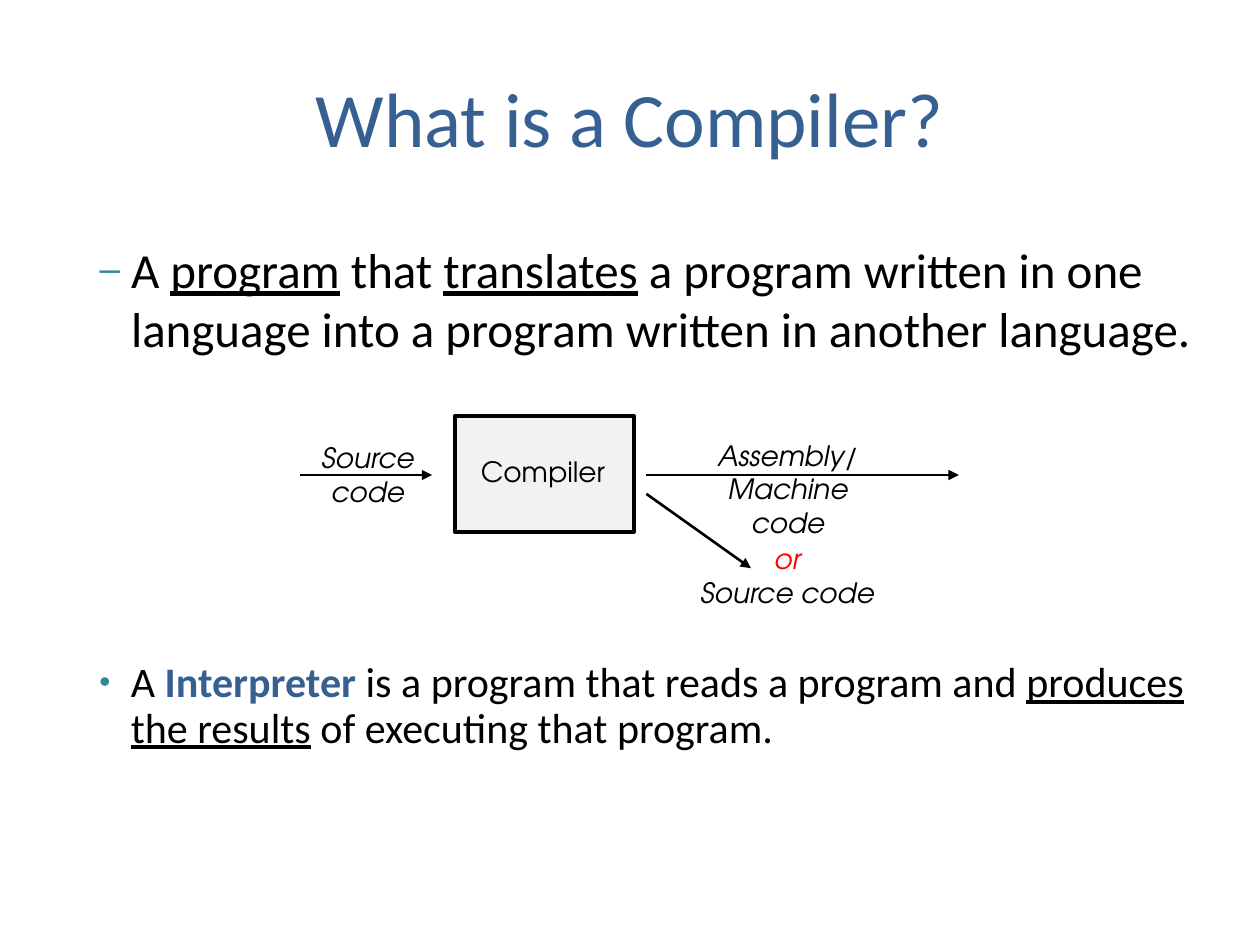
import pptx
import pptx.util
import pptx.dml.color
import pptx.enum.dml
import pptx.enum.shapes
import pptx.enum.text
import pptx.oxml
import pptx.oxml.ns
from dataclasses import dataclass


@dataclass(frozen=True)
class Theme:
    body_font: str = "Calibri"
    diagram_font: str = "TeX Gyre Adventor"
    ink: str = "000000"
    accent: str = "376092"
    bullet: str = "31859C"
    alert: str = "FF0000"
    box: str = "F2F2F2"
    title_size: int = 44
    lead_size: int = 28
    note_size: int = 24
    label_size: int = 16
    box_line: float = 2.25
    arrow_line: float = 1.5


T = Theme()
EMU_PER_PX = 9144
SLIDE = (1000, 750)

TITLE = ("What is a Compiler?", (50, 30, 900, 125))
LEAD = [
    ("A ", {}),
    ("program", {"underline": True}),
    (" that ", {}),
    ("translates", {"underline": True}),
    (" a program written in one language into a program written in another language.", {}),
]
LEAD_AT = (69, 185, 888, 95)
NOTE = [
    ("A ", {}),
    ("Interpreter ", {"bold": True, "color": T.accent}),
    ("is a program that reads a program and ", {}),
    ("produces the results", {"underline": True}),
    (" of executing that program.", {}),
]
NOTE_AT = (69, 520, 888, 95)

COMPILER_AT = (361, 330, 142, 92)
LABELS = [
    ((243, 345, 98, 64), False, True, [("Source", T.ink), ("code", T.ink)]),
    ((371, 356, 120, 37), False, False, [("Compiler", T.ink)]),
    ((541, 425, 168, 64), True, True, [("or", T.alert), ("Source code", T.ink)]),
    ((513, 343, 225, 64), True, True, [("Assembly/Machine", T.ink), ("code", T.ink)]),
]
ARROWS = [
    (238, 377, 343, 377),
    (513, 377, 761, 377),
    (513, 392, 596, 451),
]


def px(*values):
    return [pptx.util.Emu(v * EMU_PER_PX) for v in values]


def rgb(value):
    return pptx.dml.color.RGBColor.from_string(value)


def place(sp, box):
    sp.left, sp.top, sp.width, sp.height = px(*box)


def add_run(p, text, font, size, color=T.ink, **style):
    r = p.add_run()
    r.text = text
    r.font.name = font
    r.font.size = pptx.util.Pt(size)
    r.font.color.rgb = rgb(color)
    for name, value in style.items():
        setattr(r.font, name, value)


def append_xml(parent, tag, content=""):
    ns = pptx.oxml.ns.nsdecls("a")
    name = tag.split()[0]
    parent.append(pptx.oxml.parse_xml(f"<a:{tag} {ns}>{content}</a:{name}>"))


def fill_bullet(sp, runs, size, char, indent, spacing):
    tf = sp.text_frame
    tf.word_wrap = True
    tf.auto_size = pptx.enum.text.MSO_AUTO_SIZE.NONE
    p = tf.paragraphs[0]
    p.level = 1
    p.line_spacing = spacing
    p.space_before = pptx.util.Pt(0)
    p.space_after = pptx.util.Pt(5)
    ppr = p._p.get_or_add_pPr()
    left, first = px(25, -indent)
    ppr.set("marL", str(left))
    ppr.set("indent", str(first))
    append_xml(ppr, "buClr", f'<a:srgbClr val="{T.bullet}"/>')
    append_xml(ppr, 'buSzPct val="75000"')
    append_xml(ppr, 'buFont typeface="Arial"')
    append_xml(ppr, f'buChar char="{char}"')
    for text, style in runs:
        add_run(p, text, T.body_font, size, **style)


def add_label(s, box, wrap, italic, lines):
    tf = s.shapes.add_textbox(*px(*box)).text_frame
    tf.word_wrap = wrap
    tf.auto_size = pptx.enum.text.MSO_AUTO_SIZE.SHAPE_TO_FIT_TEXT
    for i, (text, color) in enumerate(lines):
        p = tf.add_paragraph() if i else tf.paragraphs[0]
        p.alignment = pptx.enum.text.PP_ALIGN.CENTER
        add_run(p, text, T.diagram_font, T.label_size, color, italic=italic)


def add_arrow(s, ends):
    line = s.shapes.add_connector(pptx.enum.shapes.MSO_CONNECTOR.STRAIGHT, *px(*ends))
    line.line.color.rgb = rgb(T.ink)
    line.line.width = pptx.util.Pt(T.arrow_line)
    append_xml(line.line._get_or_add_ln(), 'tailEnd type="triangle"')
    append_xml(line._element.spPr, "effectLst")


def main():
    prs = pptx.Presentation()
    prs.slide_width, prs.slide_height = px(*SLIDE)
    s = prs.slides.add_slide(prs.slide_layouts[1])

    title, title_at = TITLE
    sp = s.shapes.title
    place(sp, title_at)
    sp.text_frame.vertical_anchor = pptx.enum.text.MSO_ANCHOR.MIDDLE
    p = sp.text_frame.paragraphs[0]
    p.alignment = pptx.enum.text.PP_ALIGN.CENTER
    add_run(p, title, T.body_font, T.title_size, T.accent)

    body = s.placeholders[1]
    place(body, LEAD_AT)
    fill_bullet(body, LEAD, T.lead_size, "–", 31 - 6, 1.0)
    note = s.shapes.add_textbox(*px(*NOTE_AT))
    fill_bullet(note, NOTE, T.note_size, "•", 25, 0.9)

    box = s.shapes.add_shape(pptx.enum.shapes.MSO_SHAPE.RECTANGLE, *px(*COMPILER_AT))
    box.shadow.inherit = False
    box.fill.solid()
    box.fill.fore_color.rgb = rgb(T.box)
    box.line.color.rgb = rgb(T.ink)
    box.line.width = pptx.util.Pt(T.box_line)

    for label in LABELS:
        add_label(s, *label)
    for ends in ARROWS:
        add_arrow(s, ends)

    prs.save("out.pptx")


if __name__ == "__main__":
    main()
